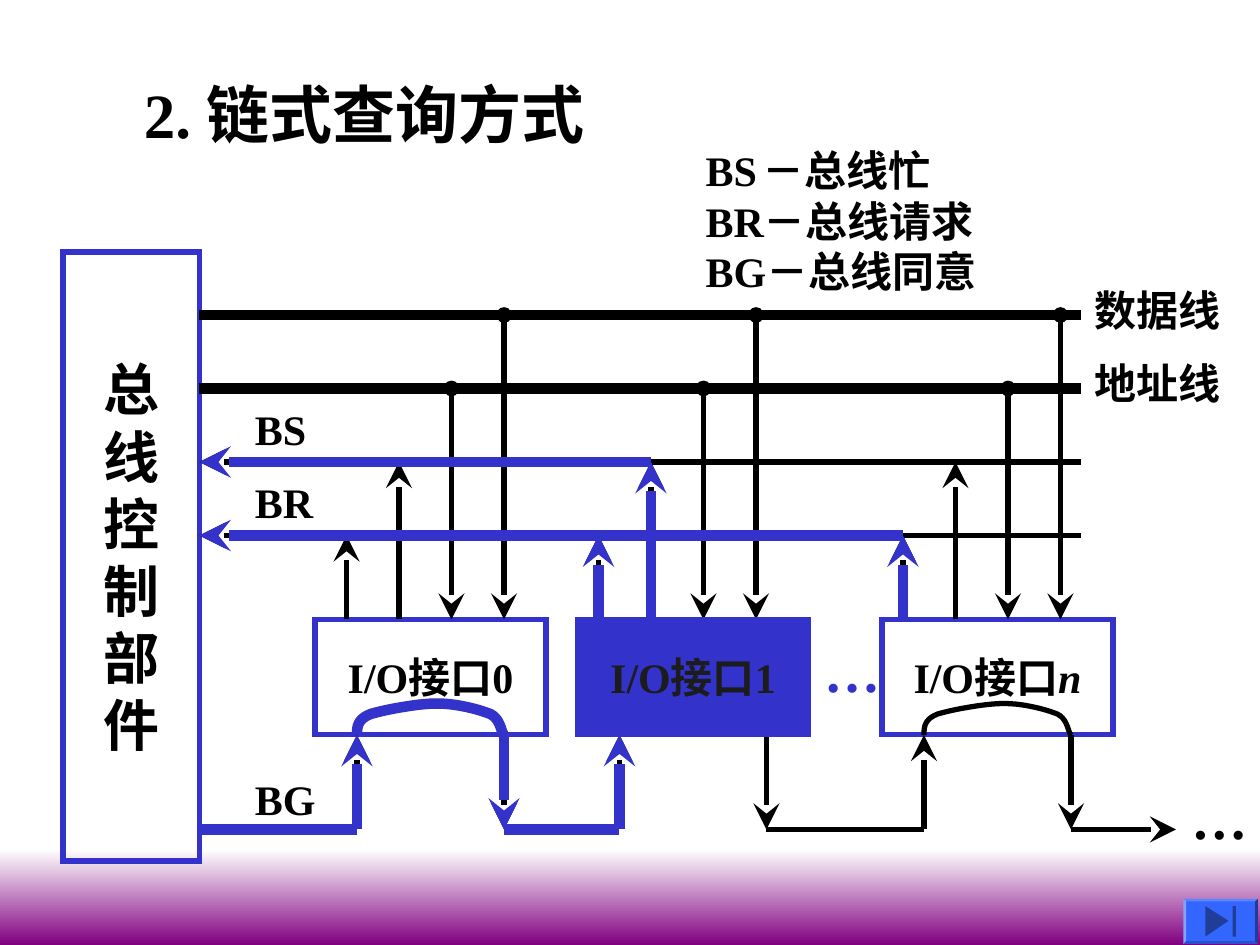
from dataclasses import dataclass, replace

from lxml import etree
from pptx import Presentation
from pptx.dml.color import RGBColor
from pptx.enum import shapes, text
from pptx.oxml.ns import qn
from pptx.util import Emu, Pt

SCALE = 7620
FONT = "Times New Roman"
BLACK, BLUE, WHITE, PURPLE = "000000", "3333CC", "FFFFFF", "800080"
CHARCOAL, BUTTON, ICON = "1C1C1C", "3366FF", "1F3D99"
BUS_LEFT, BUS_RIGHT = 190, 1030
DATA, ADDRESS, BUSY, REQUEST = 300, 370, 440, 510
BOX_TOP, BOX_BOTTOM, GRANT = 590, 700, 790
BYPASS = [
    ((0, 0), (0, -7), (0, -15), (13, -20)),
    ((13, -20), (26, -24), (58, -30), (76, -30)),
    ((76, -30), (96, -30), (117, -24), (127, -20)),
    ((127, -20), (137, -15), (137, -3), (140, 0)),
]


@dataclass(frozen=True)
class Box:
    left: int
    top: int
    width: int
    height: int


@dataclass(frozen=True)
class Interface:
    left: int
    first_wire: int
    number: str

    @property
    def box(self) -> Box:
        return Box(self.left, BOX_TOP, 220, BOX_BOTTOM - BOX_TOP)

    @property
    def grant_in(self) -> int:
        return self.left + 40

    @property
    def grant_out(self) -> int:
        return self.left + 180


@dataclass(frozen=True)
class Wire:
    x1: int
    y1: int
    x2: int
    y2: int
    head: str = ""
    tail: str = ""
    color: str = BLACK
    weight: int = 3


@dataclass(frozen=True)
class Label:
    words: str
    left: int
    top: int
    width: int
    height: int = 60
    size: int = 24
    color: str = BLACK


INTERFACES = [Interface(300, 330, "0"), Interface(550, 570, "1"), Interface(840, 860, "n")]
LABELS = [
    Label("BS", 231, 378, 95), Label("BR", 231, 448, 95), Label("BG", 231, 731, 95),
    Label("数据线", 1031, 265, 150), Label("地址线", 1031, 335, 150),
    Label("…", 773, 600, 77, 77, 32, BLUE), Label("…", 1123, 740, 77, 77, 32),
]


def px(length: int) -> Emu:
    return Emu(length * SCALE)


def rgb(color: str) -> RGBColor:
    return RGBColor.from_string(color)


def style_paragraph(paragraph, size: int, color: str, alignment=text.PP_ALIGN.LEFT) -> None:
    paragraph.alignment = alignment
    paragraph.space_before = Pt(0)
    paragraph.font.name = FONT
    paragraph.font.size = Pt(size)
    paragraph.font.bold = True
    paragraph.font.color.rgb = rgb(color)


def draw_shape(slide, kind, box: Box, fill: str = "", line: str = ""):
    shape = slide.shapes.add_shape(kind, px(box.left), px(box.top), px(box.width), px(box.height))
    shape.shadow.inherit = False
    if fill:
        shape.fill.solid()
        shape.fill.fore_color.rgb = rgb(fill)
    else:
        shape.fill.background()
    if line:
        shape.line.color.rgb = rgb(line)
        shape.line.width = Pt(3)
        etree.SubElement(shape.line._get_or_add_ln(), qn("a:miter"), lim="800000")
    else:
        shape.line.fill.background()
    return shape


def draw_wire(slide, wire: Wire) -> None:
    connector = slide.shapes.add_connector(
        shapes.MSO_CONNECTOR.STRAIGHT, px(wire.x1), px(wire.y1), px(wire.x2), px(wire.y2))
    connector.line.color.rgb = rgb(wire.color)
    connector.line.width = Pt(wire.weight)
    outline = connector.line._get_or_add_ln()
    for tag, kind in (("a:headEnd", wire.head), ("a:tailEnd", wire.tail)):
        if kind:
            size = "lg" if kind == "stealth" and wire.weight == 3 else "med"
            etree.SubElement(outline, qn(tag), type=kind, w=size, len=size)
    etree.SubElement(connector._element.spPr, qn("a:effectLst"))


def draw_outline(slide, points: list, closed: bool):
    fine = [(round(x * 100), round(y * 100)) for x, y in points]
    builder = slide.shapes.build_freeform(*fine[0], scale=SCALE / 100)
    builder.add_line_segments(fine[1:], close=closed)
    shape = builder.convert_to_shape()
    shape.shadow.inherit = False
    return shape


def draw_bypass(slide, left: int, color: str, weight: int) -> None:
    points = [(left, BOX_BOTTOM)]
    for a, b, c, d in BYPASS:
        for step in range(1, 11):
            t = step / 10
            weights = ((1 - t) ** 3, 3 * t * (1 - t) ** 2, 3 * t * t * (1 - t), t ** 3)
            x, y = (sum(w * p[axis] for w, p in zip(weights, (a, b, c, d))) for axis in (0, 1))
            points.append((left + x, BOX_BOTTOM + y))
    curve = draw_outline(slide, points, False)
    curve.fill.background()
    curve.line.color.rgb = rgb(color)
    curve.line.width = Pt(weight)


def draw_interface(slide, interface: Interface, fill: str = "", color: str = BLACK) -> None:
    shape = draw_shape(slide, shapes.MSO_SHAPE.RECTANGLE, interface.box, fill, BLUE)
    shape.text_frame.word_wrap = False
    paragraph = shape.text_frame.paragraphs[0]
    paragraph.add_run().text = "I/O接口"
    number = paragraph.add_run()
    number.text = interface.number
    style_paragraph(paragraph, 24, color, text.PP_ALIGN.CENTER)
    if interface.number == "n":
        number.font.italic = True


def draw_label(slide, label: Label) -> None:
    shape = slide.shapes.add_textbox(px(label.left), px(label.top), px(label.width), px(label.height))
    shape.text_frame.word_wrap = False
    shape.text_frame.text = label.words
    style_paragraph(shape.text_frame.paragraphs[0], label.size, label.color)


def fill_placeholder(shape, box: Box, lines: list, size: int) -> None:
    shape.left, shape.top = px(box.left), px(box.top)
    shape.width, shape.height = px(box.width), px(box.height)
    frame = shape.text_frame
    frame.text = "\n".join(lines)
    frame.auto_size = text.MSO_AUTO_SIZE.NONE
    frame.vertical_anchor = text.MSO_ANCHOR.TOP
    for paragraph in frame.paragraphs:
        properties = paragraph._p.get_or_add_pPr()
        properties.set("marL", "0")
        properties.set("indent", "0")
        etree.SubElement(properties, qn("a:buNone"))
        style_paragraph(paragraph, size, BLACK)


def grant_wires(source: int, target: int) -> list:
    return [Wire(source, GRANT, target, GRANT),
            Wire(target, GRANT, target, BOX_BOTTOM, tail="stealth")]


def release_wire(interface: Interface) -> Wire:
    return Wire(interface.grant_out, BOX_BOTTOM, interface.grant_out, GRANT, tail="stealth")


def draw_button(slide) -> None:
    bevel = draw_shape(slide, shapes.MSO_SHAPE.BEVEL, Box(1127, 856, 71, 43), BUTTON)
    bevel.adjustments[0] = 0.06
    arrow = draw_outline(slide, [(1148, 863), (1170, 877), (1148, 892)], True)
    arrow.fill.solid()
    arrow.fill.fore_color.rgb = rgb(ICON)
    arrow.line.fill.background()
    draw_shape(slide, shapes.MSO_SHAPE.RECTANGLE, Box(1174, 863, 3, 29), ICON)


def main() -> None:
    presentation = Presentation()
    presentation.slide_width, presentation.slide_height = px(1200), px(900)
    slide = presentation.slides.add_slide(presentation.slide_layouts[1])
    band = draw_shape(slide, shapes.MSO_SHAPE.RECTANGLE, Box(0, 809, 1200, 91))
    band.fill.gradient()
    band.fill.gradient_angle = 270
    for stop, color in zip(band.fill.gradient_stops, (WHITE, PURPLE)):
        stop.color.rgb = rgb(color)
    fill_placeholder(slide.shapes.title, Box(125, 66, 578, 84), ["2. 链式查询方式"], 36)
    legend = slide.placeholders[1]
    fill_placeholder(legend, Box(660, 132, 356, 156), ["BS", "BR－总线请求", "BG－总线同意"], 24)
    busy_line = legend.text_frame.paragraphs[0]
    gap = busy_line.add_run()
    gap.text = " "
    gap.font.size = Pt(12)
    busy_line.add_run().text = "－总线忙"

    controller = draw_shape(slide, shapes.MSO_SHAPE.RECTANGLE, Box(60, 240, 130, 580), line=BLUE)
    controller.text_frame.word_wrap = False
    controller.text_frame.text = "\n".join("总线控制部件")
    for paragraph in controller.text_frame.paragraphs:
        style_paragraph(paragraph, 32, BLACK, text.PP_ALIGN.CENTER)

    first, second, last = INTERFACES
    wires = [Wire(BUS_LEFT, y, BUS_RIGHT, y, weight=6) for y in (DATA, ADDRESS)]
    wires += [Wire(BUS_LEFT, y, BUS_RIGHT, y, head="stealth") for y in (BUSY, REQUEST)]
    for interface in INTERFACES:
        for index, bus in enumerate((REQUEST, BUSY)):
            x = interface.first_wire + 50 * index
            wires.append(Wire(x, BOX_TOP, x, bus, tail="stealth"))
        for index, bus in enumerate((ADDRESS, DATA), 2):
            x = interface.first_wire + 50 * index
            wires.append(Wire(x, bus, x, BOX_TOP, head="oval", tail="stealth"))
    granted = (grant_wires(BUS_LEFT, first.grant_in) + [release_wire(first)]
               + grant_wires(first.grant_out, second.grant_in))
    wires += granted + [release_wire(second)] + grant_wires(second.grant_out, last.grant_in)
    wires += [release_wire(last), Wire(last.grant_out, GRANT, 1120, GRANT, tail="stealth")]

    busy_x = second.first_wire + 50
    active = [Wire(busy_x, BUSY, BUS_LEFT, BUSY, tail="stealth"),
              Wire(last.first_wire, REQUEST, BUS_LEFT, REQUEST, tail="stealth"),
              Wire(busy_x, BOX_TOP, busy_x, BUSY, tail="stealth")]
    active += [Wire(item.first_wire, BOX_TOP, item.first_wire, REQUEST, tail="stealth")
               for item in (second, last)]

    for interface in (first, last):
        draw_interface(slide, interface)
    for wire in wires + [replace(item, color=BLUE, weight=6) for item in active + granted]:
        draw_wire(slide, wire)
    draw_bypass(slide, first.grant_in, BLUE, 6)
    draw_bypass(slide, last.grant_in, BLACK, 3)
    draw_interface(slide, second, BLUE, CHARCOAL)
    for label in LABELS:
        draw_label(slide, label)
    draw_button(slide)
    presentation.save("out.pptx")


if __name__ == "__main__":
    main()
